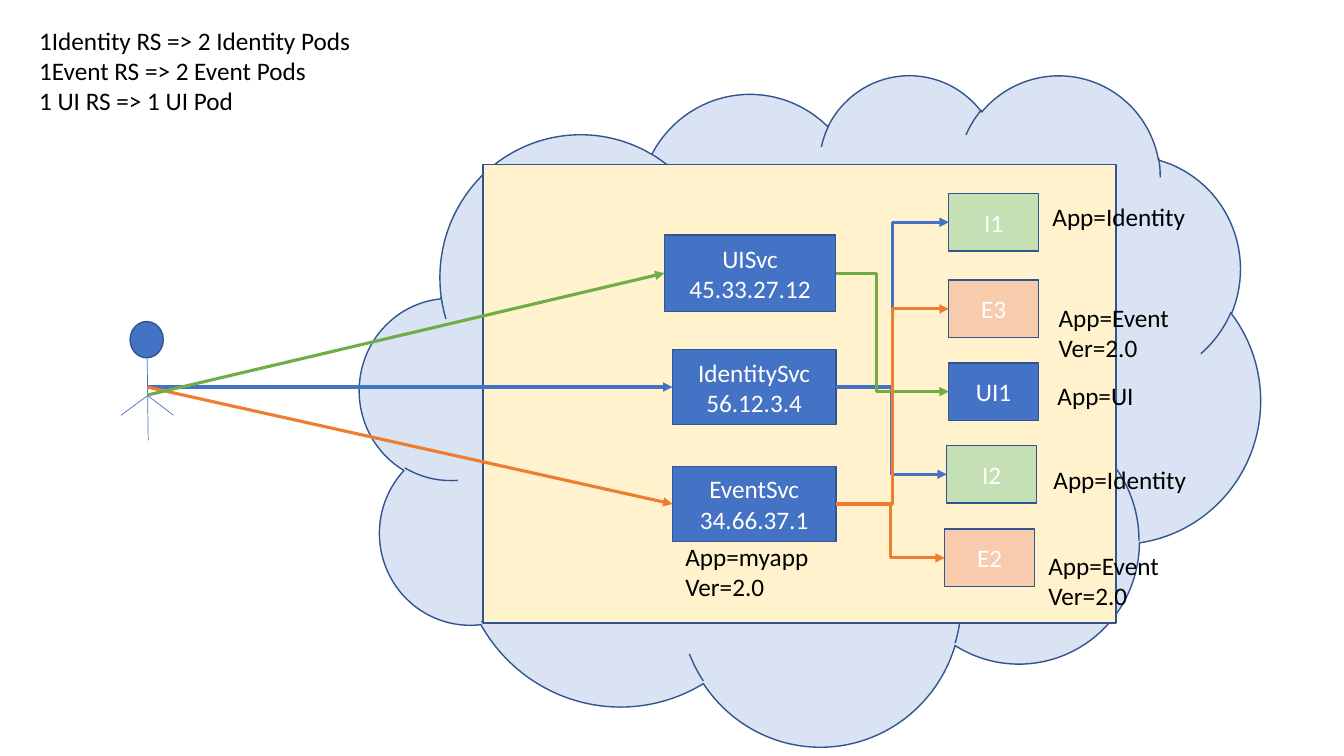
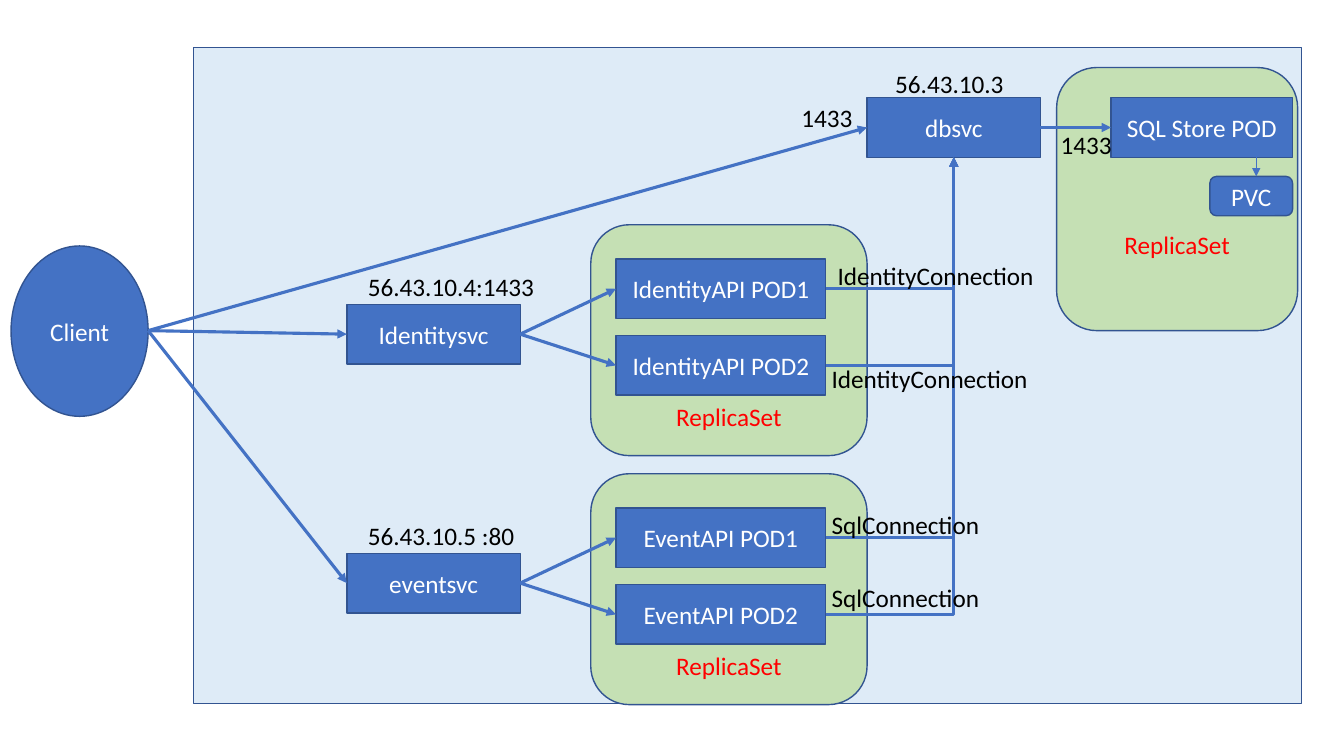
import pptx
import pptx.util
import pptx.dml.color
import pptx.enum.shapes
import pptx.enum.text
import pptx.oxml
import pptx.oxml.ns
from dataclasses import dataclass
from lxml import etree
from pptx.util import Inches

SHAPE = pptx.enum.shapes.MSO_SHAPE
CONNECTOR = pptx.enum.shapes.MSO_CONNECTOR
ALIGN = pptx.enum.text.PP_ALIGN
ANCHOR = pptx.enum.text.MSO_ANCHOR
TOP, LEFT, BOTTOM, RIGHT = range(4)


@dataclass(frozen=True)
class Theme:
    font: str = "Calibri"
    size: float = 18
    outline_width: float = 1
    thin: float = 0.5
    thick: float = 2.25
    blue: str = "4472C4"
    outline: str = "325491"
    orange: str = "ED7D31"
    green: str = "70AD47"
    pale_green: str = "C5E0B4"
    pale_orange: str = "F8CBAD"
    cloud: str = "DAE3F3"
    cluster: str = "FFF2CC"
    network: str = "DEEBF7"
    red: str = "FF0000"
    white: str = "FFFFFF"
    black: str = "000000"


T = Theme()

SERVICES = {
    "ui": (["UISvc", "45.33.27.12"], (6.59, 2.33, 1.7, 0.76)),
    "identity": (["IdentitySvc", "56.12.3.4"], (6.67, 3.47, 1.62, 0.74)),
    "event": (["EventSvc", "34.66.37.1"], (6.67, 4.63, 1.62, 0.74)),
}
PODS = [
    ("I1", 9.41, 1.92, T.pale_green),
    ("E3", 9.41, 2.78, T.pale_orange),
    ("UI1", 9.41, 3.6, T.blue),
    ("I2", 9.39, 4.42, T.pale_green),
    ("E2", 9.37, 5.25, T.pale_orange),
]
POD_SIZE = (0.89, 0.57)
USER_LIMBS = [
    ((1.47, 4.37), (1.46, 3.55)),
    ((1.72, 4.12), (1.46, 3.92)),
    ((1.2, 4.12), (1.47, 3.92)),
]
REQUESTS = [
    ("identity", (1.46, 3.84), T.blue),
    ("event", (1.46, 3.84), T.orange),
    ("ui", (1.46, 3.92), T.green),
]
ROUTES = [
    ("identity", "I1", T.blue, None),
    ("identity", "I2", T.blue, None),
    ("event", "E2", T.orange, None),
    ("ui", "UI1", T.green, 36000),
    ("event", "E3", T.orange, None),
]
SELECTOR_LABELS = [
    (["App=Event", "Ver=2.0"], 10.4, 2.95, 2.01),
    (["App=Event", "Ver=2.0"], 10.3, 5.41, 1.73),
    (["App=Identity"], 10.35, 4.56, 1.73),
    (["App=Identity"], 10.34, 1.95, 1.73),
    (["App=UI"], 10.39, 3.72, 1.73),
    (["App=myapp", "Ver=2.0"], 6.7, 5.32, 1.73),
    (["1Identity RS => 2 Identity Pods", "1Event RS => 2 Event Pods",
      "1 UI RS => 1 UI Pod"], 0.29, 0.2, 4.04),
]

REPLICA_GROUPS = [
    {"top": 2.23, "service": "Identitysvc", "address": "56.43.10.4:1433",
     "pod": "IdentityAPI POD", "link": "IdentityConnection",
     "link_at": [(8.21, 0.3), (8.15, 1.32)]},
    {"top": 4.7, "service": "eventsvc", "address": "56.43.10.5 :80",
     "pod": "EventAPI POD", "link": "SqlConnection",
     "link_at": [(8.15, 0.3), (8.15, 1.03)]},
]
POD_OFFSETS = (0.34, 1.1)
SERVICE_OFFSET = 0.79
ADDRESS_OFFSET = 0.41
BOX_H = 0.59
SERVICE_W = 1.72
CLIENT_EDGE = (1.47, 3.28)
DATABASE_LABELS = [
    ("56.43.10.3", 8.78, 0.63, 1.72),
    ("1433", 7.85, 0.97, 0.75),
    ("1433", 10.42, 1.23, 0.75),
]


def rgb(color):
    return pptx.dml.color.RGBColor.from_string(color)


def write(tf, lines, color=T.black, align=ALIGN.LEFT, anchor=ANCHOR.TOP,
          bottom=0.05):
    tf.word_wrap = True
    tf.vertical_anchor = anchor
    tf.margin_bottom = Inches(bottom)
    for i, line in enumerate(lines):
        p = tf.paragraphs[0] if i == 0 else tf.add_paragraph()
        p.alignment = align
        r = p.add_run()
        r.text = line
        r.font.name = T.font
        r.font.size = pptx.util.Pt(T.size)
        r.font.color.rgb = rgb(color)


def add_box(s, at, lines=(), kind=SHAPE.RECTANGLE, fill=T.blue, color=T.white,
            anchor=ANCHOR.MIDDLE, bottom=0.05):
    sp = s.shapes.add_shape(kind, *map(Inches, at))
    sp.shadow.inherit = False
    sp.fill.solid()
    sp.fill.fore_color.rgb = rgb(fill)
    sp.line.color.rgb = rgb(T.outline)
    sp.line.width = pptx.util.Pt(T.outline_width)
    write(sp.text_frame, lines, color, ALIGN.CENTER, anchor, bottom)
    return sp


def add_label(s, lines, left, top, width):
    height = 0.1 + 0.305 * len(lines)
    tb = s.shapes.add_textbox(*map(Inches, (left, top, width, height)))
    write(tb.text_frame, lines)


def locate(end):
    if isinstance(end[0], (int, float)):
        return Inches(end[0]), Inches(end[1])
    sp, site = end
    fx, fy = [(0.5, 0), (0, 0.5), (0.5, 1), (1, 0.5)][site]
    return int(sp.left + sp.width * fx), int(sp.top + sp.height * fy)


def connect(s, start, end, color=T.blue, width=T.thick, arrow=True,
            kind=CONNECTOR.STRAIGHT, preset=None, bend=None):
    cxn = s.shapes.add_connector(kind, *locate(start), *locate(end))
    for target, join in ((start, cxn.begin_connect), (end, cxn.end_connect)):
        if not isinstance(target[0], (int, float)):
            join(*target)
    cxn.line.color.rgb = rgb(color)
    cxn.line.width = pptx.util.Pt(width)
    qn = pptx.oxml.ns.qn
    sp_pr = cxn.element.spPr
    geom = sp_pr.find(qn("a:prstGeom"))
    if preset:
        geom.set("prst", preset)
    if bend is not None:
        etree.SubElement(geom.find(qn("a:avLst")), qn("a:gd"),
                         name="adj1", fmla=f"val {bend}")
    if arrow:
        etree.SubElement(sp_pr.find(qn("a:ln")), qn("a:tailEnd"), type="triangle")
    etree.SubElement(sp_pr, qn("a:effectLst"))


def build_selectors(s):
    add_box(s, (3.57, 0.73, 8.93, 6.66), kind=SHAPE.CLOUD, fill=T.cloud)
    add_box(s, (4.79, 1.63, 6.28, 4.55), fill=T.cluster)
    pods = {name: add_box(s, (x, y, *POD_SIZE), [name], fill=fill)
            for name, x, y, fill in PODS}
    services = {key: add_box(s, at, lines)
                for key, (lines, at) in SERVICES.items()}
    add_box(s, (1.29, 3.19, 0.33, 0.36), kind=SHAPE.OVAL)
    for start, end in USER_LIMBS:
        connect(s, start, end, width=T.thin, arrow=False)
    for service, start, color in REQUESTS:
        connect(s, start, (services[service], LEFT), color)
    for service, pod, color, bend in ROUTES:
        connect(s, (services[service], RIGHT), (pods[pod], LEFT), color,
                kind=CONNECTOR.ELBOW, bend=bend)
    for label in SELECTOR_LABELS:
        add_label(s, *label)


def build_replica_group(s, group, db_service):
    top = group["top"]
    add_box(s, (5.86, top, 2.74, 2.29), ["ReplicaSet"], SHAPE.ROUNDED_RECTANGLE,
            T.pale_green, T.red, ANCHOR.BOTTOM, 0.13)
    service = add_box(s, (3.44, top + SERVICE_OFFSET, SERVICE_W, BOX_H),
                      [group["service"]])
    connect(s, CLIENT_EDGE, (service, LEFT))
    for i, offset in enumerate(POD_OFFSETS):
        pod = add_box(s, (6.11, top + offset, 2.08, BOX_H),
                      [f"{group['pod']}{i + 1}"])
        connect(s, (service, RIGHT), (pod, LEFT))
        connect(s, (pod, RIGHT), (db_service, BOTTOM), kind=CONNECTOR.ELBOW,
                preset="bentConnector2")


def label_replica_group(s, group):
    top = group["top"]
    add_label(s, [group["address"]], 3.55, top + ADDRESS_OFFSET, 2.16)
    for x, offset in group["link_at"]:
        add_label(s, [group["link"]], x, top + offset, 2.16)


def build_replica_sets(s):
    add_box(s, (1.92, 0.47, 10.99, 6.51), fill=T.network)
    add_box(s, (10.48, 0.67, 2.39, 2.61), ["ReplicaSet"],
            SHAPE.ROUNDED_RECTANGLE, T.pale_green, T.red, ANCHOR.BOTTOM, 0.59)
    db_pod = add_box(s, (11.02, 0.97, 1.8, BOX_H), ["SQL Store POD"])
    db_service = add_box(s, (8.6, 0.97, SERVICE_W, BOX_H), ["dbsvc"])
    add_box(s, (0.11, 2.44, 1.36, 1.69), ["Client"], SHAPE.OVAL)
    add_box(s, (12, 1.75, 0.82, 0.39), ["PVC"], SHAPE.ROUNDED_RECTANGLE)
    connect(s, (db_service, RIGHT), (db_pod, LEFT))
    connect(s, CLIENT_EDGE, (db_service, LEFT))
    connect(s, (12.46, 1.56), (12.46, 1.75), width=T.thin)
    for group in REPLICA_GROUPS:
        build_replica_group(s, group, db_service)
    for group in REPLICA_GROUPS:
        label_replica_group(s, group)
    for text, x, y, width in DATABASE_LABELS:
        add_label(s, [text], x, y, width)


def main():
    prs = pptx.Presentation()
    prs.slide_width = Inches(13.33)
    prs.slide_height = Inches(7.5)
    for build in (build_selectors, build_replica_sets):
        build(prs.slides.add_slide(prs.slide_layouts[6]))
    prs.save("out.pptx")


if __name__ == "__main__":
    main()
